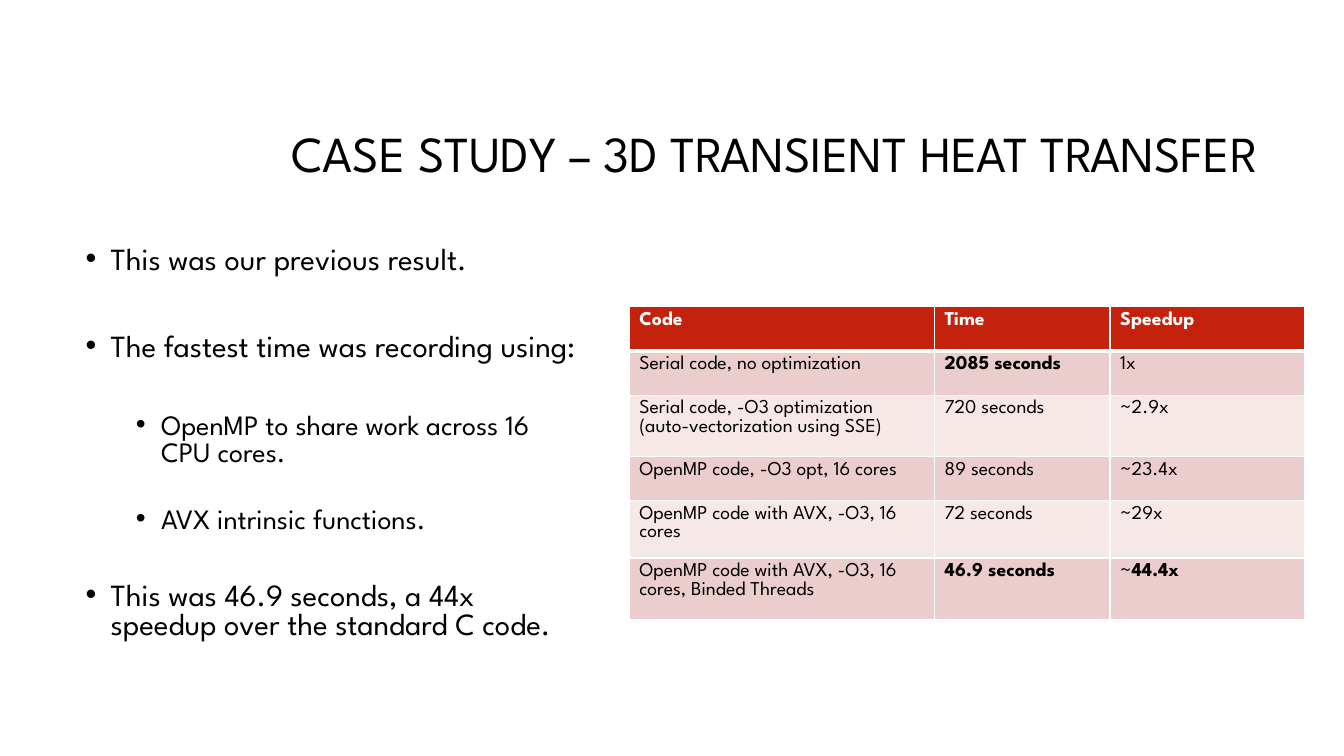
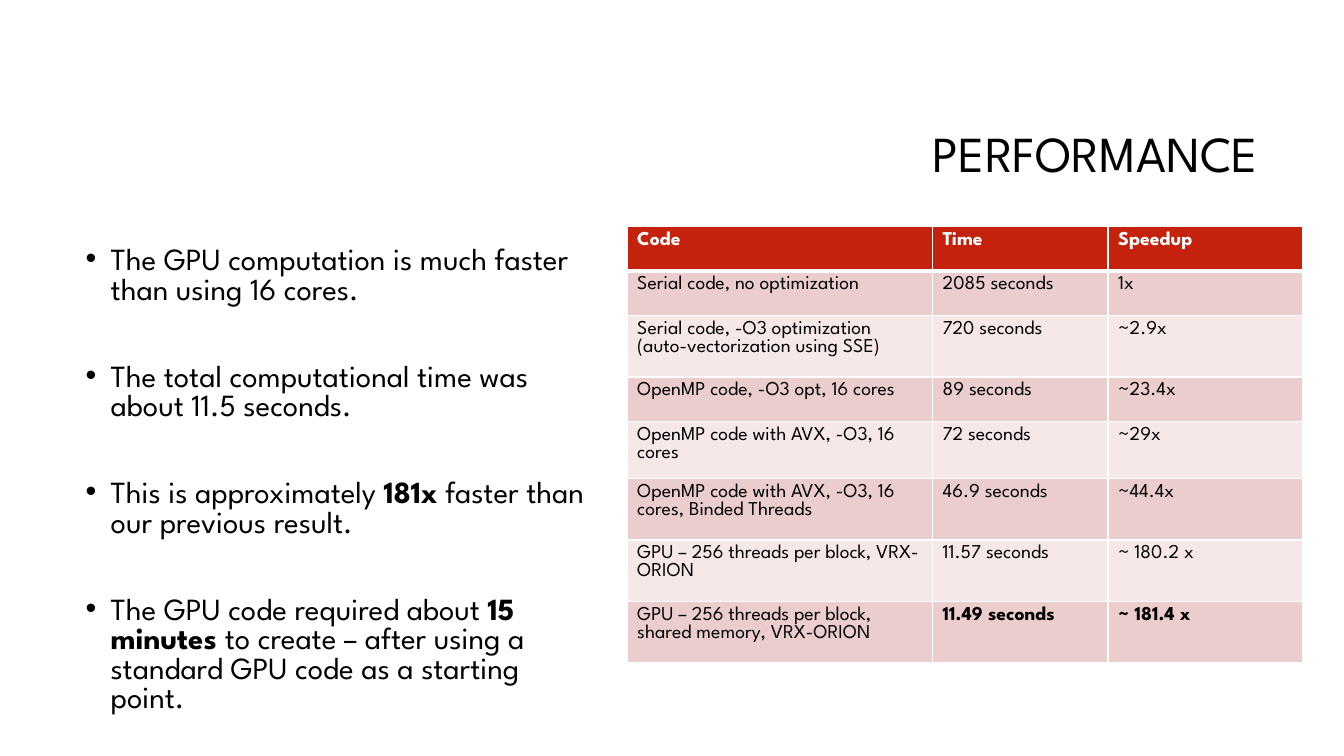
from lxml import etree
from pptx import Presentation, util as u
from pptx.dml import color
from pptx.enum import text as t
from pptx.oxml import ns

FONT = "League Spartan"
BLACK, WHITE, RED = "000000", "FFFFFF", "C4220D"
BANDS = ["EACDCC", "F5E8E7"]
TITLE = (1.62, 0.84, 10.96, 1.41)
BODY = (0.75, 2.4, 5.16, 4.82)
COLS = [3.03, 1.74, 1.93]
LOW, TALL = 0.44, 0.61
# Per bullet level: font size, space before, left margin
LEVELS = [(22, 10, 0.25), (20, 5, 0.75)]


def rgb(code):
    return color.RGBColor.from_string(code)


def write(para, words, size=14, tint=BLACK, bold=False, align=None,
          lead=None, before=None):
    """Fill a paragraph; words between asterisks switch to bold."""
    para.alignment, para.line_spacing = align, lead
    if before is not None:
        para.space_before = u.Pt(before)
    for i, part in enumerate(words.split("*")):
        if part:
            run = para.add_run()
            run.text = part
            font = run.font
            font.name, font.size = FONT, u.Pt(size)
            font.bold = bold or i % 2 == 1
            font.color.rgb = rgb(tint)


def frame(slide, box):
    area = slide.shapes.add_textbox(*map(u.Inches, box)).text_frame
    area.word_wrap = True
    return area


def title(slide, box, words):
    area = frame(slide, box)
    area.vertical_anchor = t.MSO_ANCHOR.MIDDLE
    write(area.paragraphs[0], words, size=36, align=t.PP_ALIGN.RIGHT, lead=0.9)


def bullets(slide, box, items):
    area = frame(slide, box)
    last = None
    for level, words in items:
        size, before, left = LEVELS[level]
        para = area.paragraphs[0] if last is None else area.add_paragraph()
        gap = before
        if last is not None:  # one open line at the size of the item above
            gap += LEVELS[last][1] + round(LEVELS[last][0] * 0.96)
        write(para, words, size=size, lead=0.8, before=gap)
        props = para._p.get_or_add_pPr()
        props.set("marL", str(u.Inches(left)))
        props.set("indent", str(u.Inches(-0.25)))
        etree.SubElement(props, ns.qn("a:buFont")).set("typeface", "Arial")
        etree.SubElement(props, ns.qn("a:buChar")).set("char", "•")
        last = level


def border(cell, **widths):
    """Draw white cell edges; L, R, T and B give widths in points."""
    props = cell._tc.get_or_add_tcPr()
    for i, side in enumerate("LRTB"):
        line = etree.Element(ns.qn("a:ln" + side))
        line.set("w", str(u.Pt(widths.get(side, 1))))
        fill = etree.SubElement(line, ns.qn("a:solidFill"))
        etree.SubElement(fill, ns.qn("a:srgbClr")).set("val", WHITE)
        props.insert(i, line)


def table(slide, left, top, rows):
    rows = [(LOW, "Code", "Time", "Speedup")] + rows
    size = (left, top, sum(COLS), sum(row[0] for row in rows))
    grid = slide.shapes.add_table(len(rows), len(COLS),
                                  *map(u.Inches, size)).table
    for col, width in zip(grid.columns, COLS):
        col.width = u.Inches(width)
    for r, (high, *cells) in enumerate(rows):
        grid.rows[r].height = u.Inches(high)
        head = r == 0
        for c, words in enumerate(cells):
            cell = grid.cell(r, c)
            cell.fill.solid()
            cell.fill.fore_color.rgb = rgb(RED if head else BANDS[(r - 1) % 2])
            write(cell.text_frame.paragraphs[0], words,
                  tint=WHITE if head else BLACK, bold=head)
            # Thick rule under the header row
            border(cell, B=3 if head else 1, T=3 if r == 1 else 1)


def page(deck, name, items, spot, rows):
    slide = deck.slides.add_slide(deck.slide_layouts[6])
    title(slide, TITLE, name)
    bullets(slide, BODY, items)
    table(slide, *spot, rows)


def runs(first, best, ratio):
    """Rows for the processor runs, which both slides list."""
    return [
        (LOW, "Serial code, no optimization", first, "1x"),
        (TALL, "Serial code, -O3 optimization (auto-vectorization using SSE)",
         "720 seconds", "~2.9x"),
        (LOW, "OpenMP code, -O3 opt, 16 cores", "89 seconds", "~23.4x"),
        (LOW, "OpenMP code with AVX, -O3, 16 cores", "72 seconds", "~29x"),
        (TALL, "OpenMP code with AVX, -O3, 16 cores, Binded Threads",
         best, ratio),
    ]


def main():
    deck = Presentation()
    deck.slide_width, deck.slide_height = u.Inches(13.33), u.Inches(7.5)

    # Processor results
    page(deck, "CASE STUDY – 3D TRANSIENT HEAT TRANSFER", [
        (0, "This was our previous result."),
        (0, "The fastest time was recording using:"),
        (1, "OpenMP to share work across 16 CPU cores."),
        (1, "AVX intrinsic functions."),
        (0, "This was 46.9 seconds, a 44x speedup over the standard C code."),
    ], (6.24, 3.04), runs("*2085 seconds*", "*46.9 seconds*", "~*44.4x*"))

    # Graphics card results
    page(deck, "PERFORMANCE", [
        (0, "The GPU computation is much faster than using 16 cores."),
        (0, "The total computational time was about 11.5 seconds."),
        (0, "This is approximately *181x* faster than our previous result."),
        (0, "The GPU code required about *15 minutes *to create – after using "
            "a standard GPU code as a starting point."),
    ], (6.22, 2.25), runs("2085 seconds", "46.9 seconds", "~44.4x") + [
        (TALL, "GPU – 256 threads per block, VRX-ORION",
         "11.57 seconds", "~ 180.2 x"),
        (TALL, "GPU – 256 threads per block, shared memory, VRX-ORION",
         "*11.49 seconds*", "*~ 181.4 x*"),
    ])
    deck.save("out.pptx")


if __name__ == "__main__":
    main()
